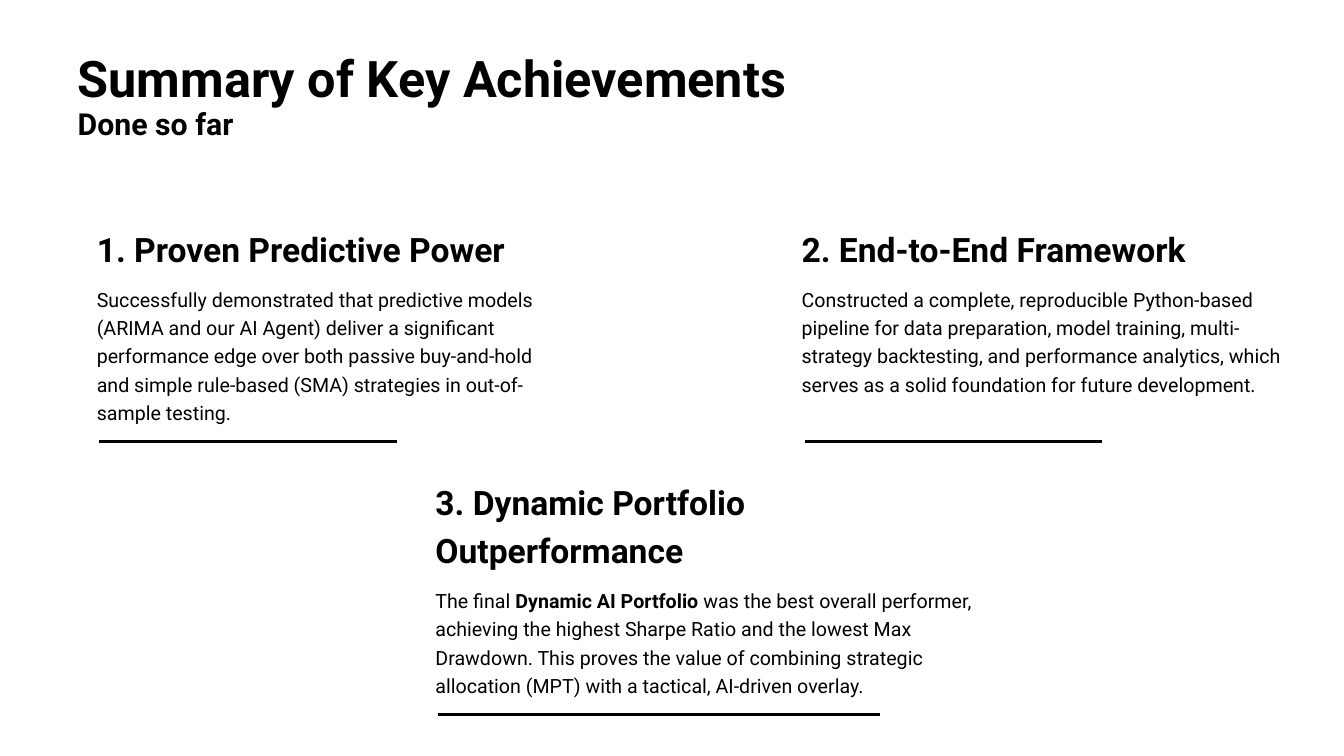
from dataclasses import dataclass

from lxml import etree
from pptx import Presentation
from pptx.dml.color import RGBColor
from pptx.enum import shapes, text
from pptx.oxml.ns import qn
from pptx.util import Inches, Pt


@dataclass(frozen=True)
class Theme:
    font: str = "Roboto"
    ink: RGBColor = RGBColor(0, 0, 0)
    paper: RGBColor = RGBColor(255, 255, 255)
    title: float = 36
    subtitle: float = 21.6
    heading: float = 24
    body: float = 14
    rule: float = 1.75


@dataclass(frozen=True)
class Span:
    text: str
    bold: bool = False


@dataclass(frozen=True)
class Achievement:
    heading: str
    spans: tuple[Span, ...]
    left: float
    top: float
    width: float
    rule_left: float
    rule_top: float
    rule_width: float


THEME = Theme()
BOX_HEIGHT = 5.02

PREDICTION = Achievement(
    "1. Proven Predictive Power",
    (Span("Successfully demonstrated that predictive models (ARIMA and our AI Agent) "
          "deliver a significant performance edge over both passive buy-and-hold and "
          "simple rule-based (SMA) strategies in out-of-sample testing."),),
    0.86, 2.14, 4.82, 0.98, 4.38, 2.96)
FRAMEWORK = Achievement(
    "2. End-to-End Framework",
    (Span("Constructed a complete, reproducible Python-based pipeline for data "
          "preparation, model training, multi-strategy backtesting, and performance "
          "analytics, which serves as a solid foundation for future development."),),
    7.85, 2.14, 5.15, 7.98, 4.38, 2.95)
PORTFOLIO = Achievement(
    "3. Dynamic Portfolio Outperformance",
    (Span("The final "), Span("Dynamic AI Portfolio", True),
     Span(" was the best overall performer, achieving the highest Sharpe Ratio and the "
          "lowest Max Drawdown. This proves the value of combining strategic allocation "
          "(MPT) with a tactical, AI-driven overlay.")),
    4.22, 4.65, 5.55, 4.34, 7.09, 4.39)


def place(box, left: float, top: float, width: float, height: float) -> None:
    """Position a text shape and give its frame a fixed size, wrapped from the top."""
    box.left, box.top = Inches(left), Inches(top)
    box.width, box.height = Inches(width), Inches(height)
    frame = box.text_frame
    frame.word_wrap = True
    frame.auto_size = text.MSO_AUTO_SIZE.NONE
    frame.vertical_anchor = text.MSO_ANCHOR.TOP


def format_paragraph(para, size: float, spacing: float, before: float = 0) -> None:
    """Set a plain, left-aligned paragraph without bullet or indent."""
    properties = para._p.get_or_add_pPr()
    properties.set("marL", "0")
    properties.set("indent", "0")
    etree.SubElement(properties, qn("a:buNone"))
    para.alignment = text.PP_ALIGN.LEFT
    para.line_spacing = spacing
    para.space_before = Pt(before)
    para.font.name = THEME.font
    para.font.size = Pt(size)
    para.font.color.rgb = THEME.ink


def add_span(para, span: Span) -> None:
    run = para.add_run()
    run.text = span.text
    run.font.bold = span.bold


def write_title(box) -> None:
    place(box, 0.67, 0.49, 11.65, 1.24)
    para = box.text_frame.paragraphs[0]
    format_paragraph(para, THEME.title, 0.9)
    add_span(para, Span("Summary of Key Achievements", True))
    para.add_line_break()
    add_span(para, Span("Done so far", True))
    para.runs[1].font.size = Pt(THEME.subtitle)


def write_achievement(page, box, item: Achievement) -> None:
    """Fill a box with heading and text, and draw the rule below it."""
    place(box, item.left, item.top, item.width, BOX_HEIGHT)
    heading = box.text_frame.paragraphs[0]
    format_paragraph(heading, THEME.heading, 1.2)
    add_span(heading, Span(item.heading, True))
    para = box.text_frame.add_paragraph()
    format_paragraph(para, THEME.body, 1.2, before=10)
    for span in item.spans:
        add_span(para, span)

    rule = page.shapes.add_connector(
        shapes.MSO_CONNECTOR.STRAIGHT,
        Inches(item.rule_left), Inches(item.rule_top),
        Inches(item.rule_left + item.rule_width), Inches(item.rule_top))
    rule.line.color.rgb = THEME.ink
    rule.line.width = Pt(THEME.rule)
    etree.SubElement(rule._element.spPr, qn("a:effectLst"))


def main() -> None:
    deck = Presentation()
    deck.slide_width, deck.slide_height = Inches(13.33), Inches(7.5)
    page = deck.slides.add_slide(deck.slide_layouts.get_by_name("Two Content"))
    page.background.fill.solid()
    page.background.fill.fore_color.rgb = THEME.paper

    title, left_body, right_body = page.placeholders
    write_title(title)
    write_achievement(page, left_body, PREDICTION)
    write_achievement(page, right_body, FRAMEWORK)
    write_achievement(page, page.shapes.add_textbox(0, 0, 0, 0), PORTFOLIO)
    deck.save("out.pptx")


if __name__ == "__main__":
    main()
